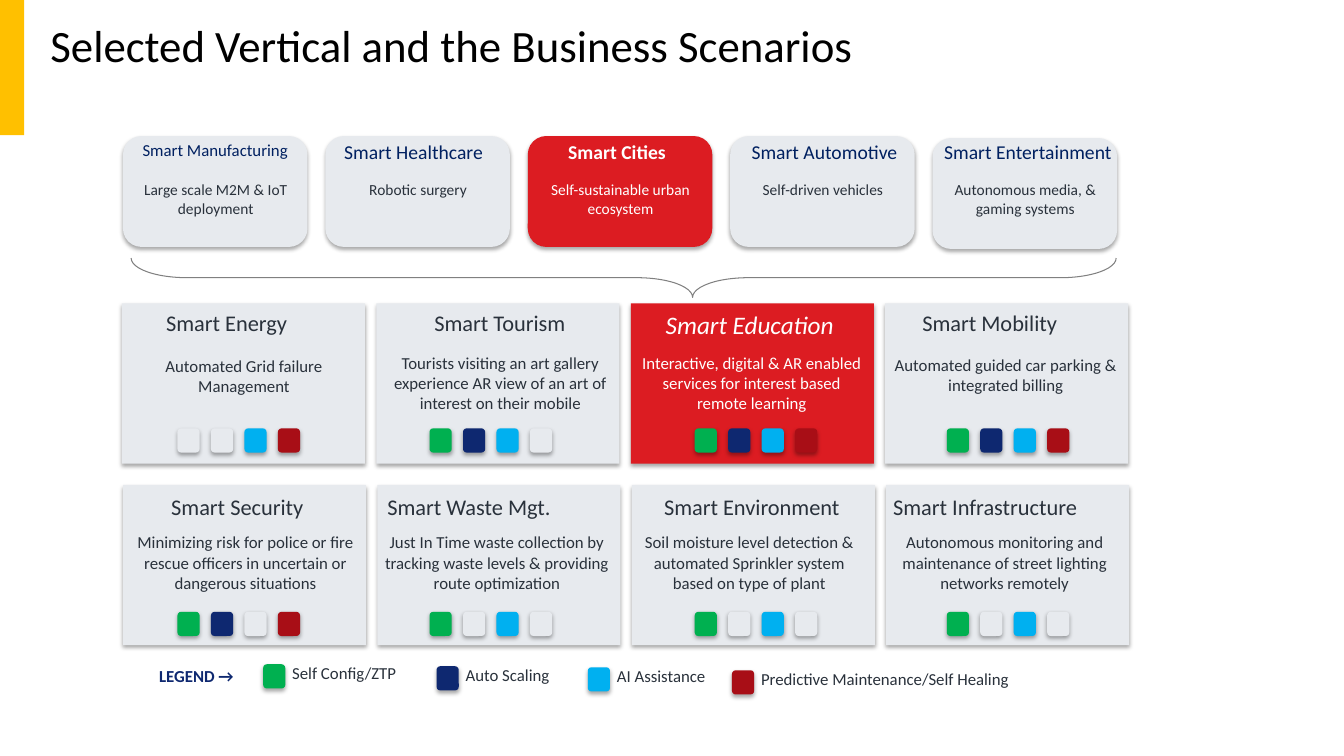
from pptx import Presentation
from pptx.util import Inches, Pt
from pptx.dml.color import RGBColor
from pptx.enum.shapes import MSO_SHAPE as Shape
from pptx.enum.text import MSO_ANCHOR as Anchor, MSO_AUTO_SIZE as AutoSize, PP_ALIGN as Align
from pptx.oxml import parse_xml
from pptx.oxml.ns import nsdecls

TITLE = "Selected Vertical and the Business Scenarios"

THEME = {
    "font": "Calibri",
    "colors": {
        "black": "000000", "white": "FFFFFF", "amber": "FFC000", "card": "E7EAEE",
        "red": "DC1C22", "ink": "29313B", "navy": "002060", "brace": "808080",
        "config": "00B050", "scaling": "0E2870", "assist": "00B0F0", "healing": "A80E16",
    },
    "sizes": {"title": 32, "accent": 18, "scenario": 16, "vertical": 14, "body": 12, "note": 11},
}

# heading, size, heading offset, heading width, note, note lines, top offset
VERTICALS = [
    ("Smart Manufacturing", "body", -0.11, 2.05, "Large scale M2M & IoT deployment", 2, 0),
    ("Smart Healthcare", "vertical", -0.08, 1.91, "Robotic surgery", 1, 0),
    ("Smart Cities", "vertical", -0.07, 1.91, "Self-sustainable urban ecosystem", 2, 0),
    ("Smart Automotive", "vertical", -0.02, 1.91, "Self-driven vehicles", 1, 0),
    ("Smart Entertainment", "vertical", -0.11, 2.11, "Autonomous media, & gaming systems", 2, 0.02),
]
CHOSEN_VERTICAL = "Smart Cities"

# heading, alignment, heading offset and width, body, lines, body offset, drop and width, features
SCENARIOS = [
    [
        ("Smart Energy", Align.LEFT, 0.34, 1.56,
         "Automated Grid failure Management", 2, 0.09, 0.47, 2.24, "0011"),
        ("Smart Tourism", Align.CENTER, 0.03, 2.39,
         "Tourists visiting an art gallery experience AR view of an art of interest on their mobile",
         3, 0, 0.44, 2.46, "1110"),
        ("Smart Education", Align.CENTER, 0, 2.36,
         "Interactive, digital & AR enabled services for interest based remote learning",
         3, -0.03, 0.44, 2.46, "1111"),
        ("Smart Mobility", Align.LEFT, 0.27, 1.7,
         "Automated guided car parking & integrated billing", 2, -0.02, 0.46, 2.43, "1111"),
    ],
    [
        ("Smart Security", Align.LEFT, 0.39, 1.66,
         "Minimizing risk for police or fire rescue officers in uncertain or dangerous situations",
         3, -0.09, 0.42, 2.63, "1101"),
        ("Smart Waste Mgt.", Align.LEFT, 0.01, 2.02,
         "Just In Time waste collection by tracking waste levels & providing route optimization",
         3, -0.05, 0.42, 2.49, "1010"),
        ("Smart Environment", Align.CENTER, -0.01, 2.42,
         "Soil moisture level detection & automated Sprinkler system based on type of plant",
         3, -0.07, 0.42, 2.49, "1010"),
        ("Smart Infrastructure", Align.LEFT, -0.02, 2.51,
         "Autonomous monitoring and maintenance of street lighting networks remotely",
         3, -0.04, 0.42, 2.45, "1010"),
    ],
]
CHOSEN_SCENARIO = "Smart Education"

FEATURES = ["config", "scaling", "assist", "healing"]
LEGEND_HEAD = "LEGEND →"
LEGEND = [
    ("Self Config/ZTP", 2.61, 6.59, 1.36),
    ("Auto Scaling", 4.33, 6.61, 1.14),
    ("AI Assistance", 5.83, 6.62, 1.2),
    ("Predictive Maintenance/Self Healing", 7.26, 6.65, 2.94),
]

VERTICAL_GRID = {"left": 1.22, "top": 1.35, "pitch": 2.0075, "size": (1.83, 1.1)}
SCENARIO_GRID = {"left": 1.21, "top": 3.01, "pitch": 2.5233, "row": 1.8, "size": (2.41, 1.59)}
SWATCH_GRID = {"lefts": [1.76, 4.26, 6.89, 9.39], "top": 4.25, "pitch": 0.332, "row": 1.82, "size": (0.22, 0.24)}
HEADING_DROPS = [0.01, 0.03]
ROW_SHIFT = 0.01

SHADOW = (
    f'<a:effectLst {nsdecls("a")}><a:outerShdw blurRad="{Pt(3.1)}" dist="{Pt(1.8)}" dir="5400000" '
    'algn="t" rotWithShape="0"><a:srgbClr val="000000"><a:alpha val="35000"/></a:srgbClr>'
    '</a:outerShdw></a:effectLst>'
)


def color(name):
    return RGBColor.from_string(THEME["colors"][name])


def set_format(target, **values):
    for name, value in values.items():
        setattr(target, name, value)


def write(frame, text, size, ink, align, **extra):
    para = frame.paragraphs[0]
    para.alignment = align
    span = para.add_run()
    span.text = text
    set_format(span.font, name=THEME["font"], size=Pt(THEME["sizes"][size]), **extra)
    span.font.color.rgb = color(ink)
    return para


def add_block(page, kind, left, top, size, fill, shadow=True):
    block = page.shapes.add_shape(kind, *map(Inches, (left, top, *size)))
    block.shadow.inherit = False
    block.fill.solid()
    block.fill.fore_color.rgb = color(fill)
    block.line.fill.background()
    if shadow:
        props = block.fill._xPr
        props.replace(props.find("{*}effectLst"), parse_xml(SHADOW))
    return block


def add_text(page, text, left, top, width, size, ink="ink", align=Align.CENTER, lines=1, **extra):
    height = 0.13 + 0.02 * THEME["sizes"][size] * lines
    box = page.shapes.add_textbox(*map(Inches, (left, top, width, height)))
    set_format(box.text_frame, word_wrap=True, auto_size=AutoSize.SHAPE_TO_FIT_TEXT)
    write(box.text_frame, text, size, ink, align, **extra)


def add_title(page):
    title = page.shapes.title
    set_format(title, left=Inches(0.4), top=Inches(0.2), width=Inches(12.6), height=Inches(0.56))
    set_format(title.text_frame, vertical_anchor=Anchor.MIDDLE, word_wrap=True, auto_size=AutoSize.NONE)
    write(title.text_frame, TITLE, "title", "black", Align.LEFT).line_spacing = 0.9
    add_block(page, Shape.RECTANGLE, 0, 0, (0.24, 1.34), "amber", shadow=False)


def add_verticals(page):
    grid = VERTICAL_GRID
    for column, (heading, size, offset, width, note, lines, shift) in enumerate(VERTICALS):
        left = grid["left"] + column * grid["pitch"]
        chosen = heading == CHOSEN_VERTICAL
        fill, head_ink, note_ink = ("red", "white", "white") if chosen else ("card", "navy", "ink")
        add_block(page, Shape.ROUNDED_RECTANGLE, left, grid["top"] + shift, grid["size"], fill)
        add_text(page, heading, left + offset, grid["top"] - 0.01, width, size, head_ink, bold=chosen)
        add_text(page, note, left, grid["top"] + 0.39, 1.84, "note", note_ink, lines=lines)


def add_brace(page):
    brace = page.shapes.add_shape(Shape.RIGHT_BRACE, *map(Inches, (5.99, -2.13, 0.39, 9.77)))
    brace.rotation = 90
    brace.adjustments[0], brace.adjustments[1] = 1.42, 0.43
    brace.shadow.inherit = False
    brace.fill.background()
    brace.line.color.rgb = color("brace")
    brace.line.width = Pt(0.75)


def add_scenario(page, row, column, scenario):
    heading, align, offset, width, body, lines, body_offset, drop, body_width, features = scenario
    grid, dots = SCENARIO_GRID, SWATCH_GRID
    left = grid["left"] + column * grid["pitch"]
    top = grid["top"] + row * grid["row"]
    chosen = heading == CHOSEN_SCENARIO
    fill, ink, size = ("red", "white", "accent") if chosen else ("card", "ink", "scenario")
    add_block(page, Shape.RECTANGLE, left + row * ROW_SHIFT, top, grid["size"], fill)
    add_text(page, heading, left + offset, top + HEADING_DROPS[row], width, size, ink, align, italic=chosen)
    add_text(page, body, left + body_offset, top + drop, body_width, "body", ink, lines=lines)
    for index, (feature, flag) in enumerate(zip(FEATURES, features)):
        add_block(page, Shape.ROUNDED_RECTANGLE, dots["lefts"][column] + index * dots["pitch"],
                  dots["top"] + row * dots["row"], dots["size"], feature if flag == "1" else "card")


def add_legend(page):
    add_text(page, LEGEND_HEAD, 1.48, 6.56, 1.05, "body", "scaling", Align.LEFT, bold=True)
    for feature, (label, left, top, width) in zip(FEATURES, LEGEND):
        add_block(page, Shape.ROUNDED_RECTANGLE, left, top, SWATCH_GRID["size"], feature)
        add_text(page, label, left + 0.19, top - 0.06, width, "body", align=Align.LEFT)


def main():
    deck = Presentation()
    set_format(deck, slide_width=Inches(13.33), slide_height=Inches(7.5))
    page = deck.slides.add_slide(deck.slide_layouts[5])
    add_title(page)
    add_verticals(page)
    add_brace(page)
    for row, scenarios in enumerate(SCENARIOS):
        for column, scenario in enumerate(scenarios):
            add_scenario(page, row, column, scenario)
    add_legend(page)
    deck.save("out.pptx")


if __name__ == "__main__":
    main()
